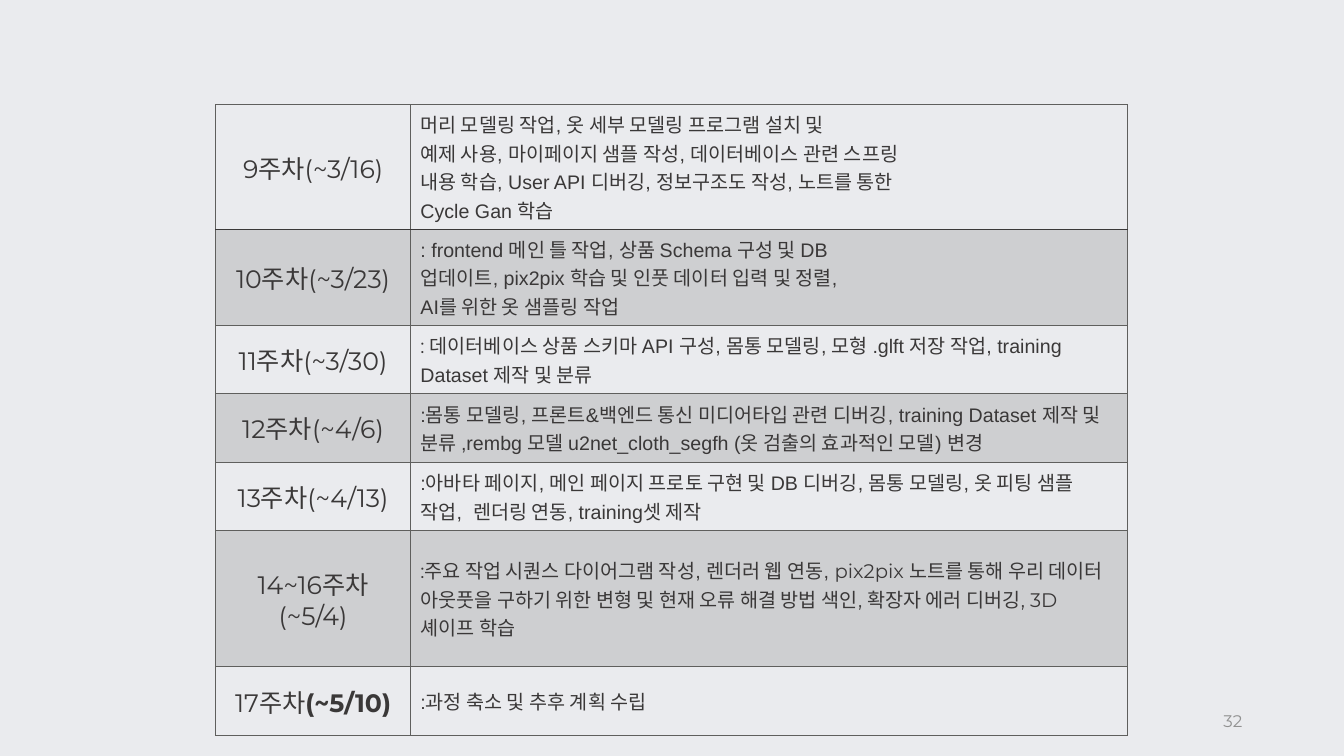
from dataclasses import dataclass

from lxml.etree import SubElement
from pptx import Presentation
from pptx.dml.color import RGBColor
from pptx.enum.text import MSO_ANCHOR as Anchor, PP_ALIGN as Align
from pptx.oxml import parse_xml
from pptx.oxml.ns import nsdecls, qn
from pptx.util import Inches, Pt


@dataclass(frozen=True)
class Theme:
    background: str = "EAEBEE"
    text: str = "3A3838"
    grid: str = "5F5F5D"
    muted: str = "919191"
    display_font: str = "Montserrat"
    body_font: str = "Arial"
    week_size: int = 18
    task_size: int = 14
    number_size: int = 12
    band_opacity: int = 20


THEME = Theme()
COLUMN_WIDTHS = (1.93, 7.11)
ROW_HEIGHT = 0.68
TALL_ROW = 5

# Each week: label runs, then task paragraphs made of runs.
# A run is plain text, or text with its own format.
DISPLAY = {"font": THEME.display_font}
SCHEDULE = [
    (["9주차(~3/16)"], [
        ["머리 모델링 작업, 옷 세부 모델링 프로그램 설치 및"],
        ["예제 사용, 마이페이지 샘플 작성, 데이터베이스 관련 스프링"],
        ["내용 학습, User API 디버깅, 정보구조도 작성, 노트를 통한"],
        ["Cycle Gan 학습"]]),
    (["10주차(~3/23)"], [
        [": frontend 메인 틀 작업, 상품 Schema 구성 및 DB"],
        ["업데이트, pix2pix 학습 및 인풋 데이터 입력 및 정렬,"],
        ["AI를 위한 옷 샘플링 작업"]]),
    (["11주차(~3/30)"], [
        [(": ", DISPLAY),
         "데이터베이스 상품 스키마 API 구성, 몸통 모델링, 모형 .glft 저장 작업, "
         "training Dataset 제작 및 분류"]]),
    (["12주차(~4/6)"], [
        [":몸통 모델링, 프론트&백엔드 통신 미디어타입 관련 디버깅, training Dataset "
         "제작 및 분류 ,rembg 모델 u2net_cloth_segfh (옷 검출의 효과적인 모델) 변경"]]),
    (["13주차(~4/13)"], [
        [":아바타 페이지, 메인 페이지 프로토 구현 및 DB 디버깅, 몸통 모델링, 옷 피팅 "
         "샘플 작업,  렌더링 연동, training셋 제작"]]),
    (["14~16주차(~5/4)"], [
        [(":", DISPLAY),
         "주요 작업 시퀀스 다이어그램 작성, 렌더러 웹 연동, ",
         ("pix2pix 노트를 통해 우리 데이터 아웃풋을 구하기 위한 변형 및 현재 오류 "
          "해결 방법 색인, 확장자 에러 디버깅, 3D 셰이프 학습", DISPLAY)]]),
    (["17주차", ("(~5/10)", {"bold": True})], [
        [":과정 축소 및 추후 계획 수립"]]),
]


def add_run(paragraph, text, font=THEME.body_font, size=THEME.task_size,
            color=THEME.text, bold=False):
    run = paragraph.add_run()
    run.text = text
    run.font.name = font
    run.font.size = Pt(size)
    run.font.bold = bold
    run.font.color.rgb = RGBColor.from_string(color)


def write_paragraphs(text_frame, paragraphs, align=Align.LEFT, **text_format):
    for index, runs in enumerate(paragraphs):
        paragraph = text_frame.add_paragraph() if index else text_frame.paragraphs[0]
        paragraph.alignment = align
        for run in runs:
            text, own_format = (run, {}) if isinstance(run, str) else run
            add_run(paragraph, text, **{**text_format, **own_format})


def fill_band(cell):
    cell.fill.solid()
    cell.fill.fore_color.rgb = RGBColor.from_string(THEME.grid)
    color = cell._tc.tcPr.find(qn("a:solidFill"))[0]
    SubElement(color, qn("a:alpha"), val=str(THEME.band_opacity * 1000))


def set_borders(cell, **colors):
    """Draw all four sides; colors overrides the side L, R, T or B."""
    properties = cell._tc.get_or_add_tcPr()
    for index, side in enumerate("LRTB"):
        color = colors.get(side, THEME.grid)
        properties.insert(index, parse_xml(
            f'<a:ln{side} {nsdecls("a")} w="{Pt(1)}"><a:solidFill>'
            f'<a:srgbClr val="{color}"/></a:solidFill></a:ln{side}>'))


def format_cell(cell, row_index):
    cell.vertical_anchor = Anchor.MIDDLE
    if row_index % 2:
        fill_band(cell)
    else:
        cell.fill.background()
    dark_side = {0: {"B": THEME.text}, 1: {"T": THEME.text}}
    set_borders(cell, **dark_side.get(row_index, {}))


def add_schedule(slide):
    heights = [ROW_HEIGHT] * len(SCHEDULE)
    heights[TALL_ROW] = 1.35
    frame = slide.shapes.add_table(
        len(SCHEDULE), len(COLUMN_WIDTHS), Inches(2.14), Inches(1.04),
        Inches(sum(COLUMN_WIDTHS)), Inches(sum(heights)))
    table = frame.table
    table.first_row = table.horz_banding = False
    for column, width in zip(table.columns, COLUMN_WIDTHS):
        column.width = Inches(width)
    for index, (week, tasks) in enumerate(SCHEDULE):
        row = table.rows[index]
        row.height = Inches(heights[index])
        week_cell, task_cell = row.cells
        write_paragraphs(week_cell.text_frame, [week], align=Align.CENTER,
                         font=THEME.display_font, size=THEME.week_size)
        write_paragraphs(task_cell.text_frame, tasks)
        task_cell.margin_right = Inches(0.2)
        for cell in row.cells:
            format_cell(cell, index)


def add_page_number(slide, number):
    box = slide.shapes.add_textbox(Inches(9.42), Inches(6.95), Inches(3), Inches(0.4))
    box.text_frame.word_wrap = True
    box.text_frame.vertical_anchor = Anchor.MIDDLE
    write_paragraphs(box.text_frame, [[number]], align=Align.RIGHT,
                     font=THEME.display_font, size=THEME.number_size, color=THEME.muted)


def main():
    presentation = Presentation()
    presentation.slide_width = Inches(13.33)
    presentation.slide_height = Inches(7.5)
    slide = presentation.slides.add_slide(presentation.slide_layouts[6])
    slide.background.fill.solid()
    slide.background.fill.fore_color.rgb = RGBColor.from_string(THEME.background)
    add_schedule(slide)
    add_page_number(slide, "32")
    presentation.save("out.pptx")


if __name__ == "__main__":
    main()
